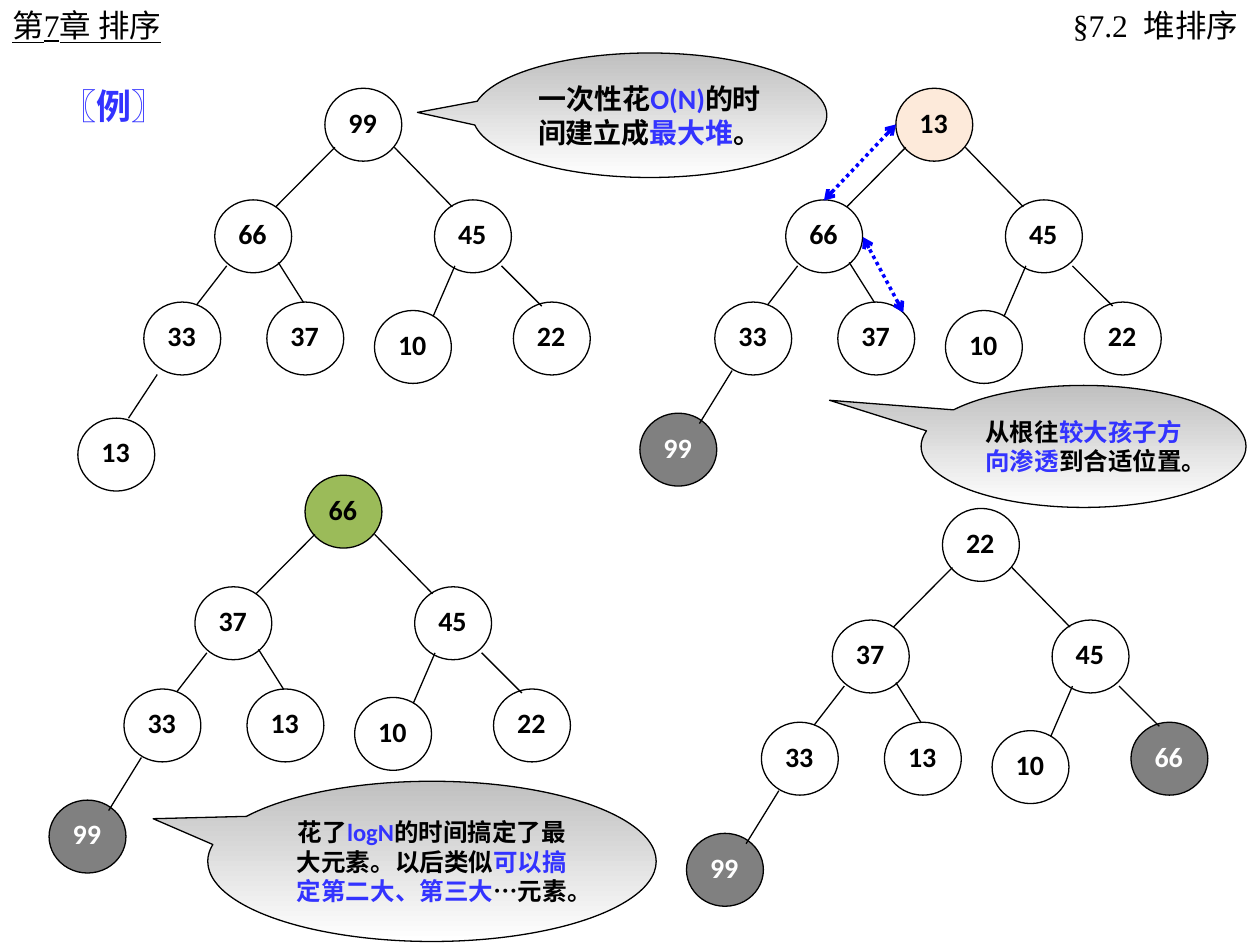
from lxml import etree
from pptx import Presentation
from pptx.dml.color import RGBColor
from pptx.enum.dml import MSO_LINE
from pptx.enum.shapes import MSO_CONNECTOR, MSO_SHAPE
from pptx.enum.text import MSO_ANCHOR, PP_ALIGN
from pptx.oxml.ns import qn
from pptx.util import Cm, Pt

OVAL = MSO_SHAPE.OVAL
CALLOUT = MSO_SHAPE.OVAL_CALLOUT
STRAIGHT = MSO_CONNECTOR.STRAIGHT
DOTTED = MSO_LINE.ROUND_DOT
TOP, MIDDLE = MSO_ANCHOR.TOP, MSO_ANCHOR.MIDDLE
LEFT, CENTER, RIGHT, JUSTIFY = PP_ALIGN.LEFT, PP_ALIGN.CENTER, PP_ALIGN.RIGHT, PP_ALIGN.JUSTIFY

BLACK = RGBColor(0x00, 0x00, 0x00)
WHITE = RGBColor(0xFF, 0xFF, 0xFF)
GRAY = RGBColor(0x80, 0x80, 0x80)
SILVER = RGBColor(0xC0, 0xC0, 0xC0)
PEACH = RGBColor(0xFD, 0xEA, 0xDA)
GREEN = RGBColor(0x9B, 0xBB, 0x59)
BLUE = RGBColor(0x00, 0x00, 0xFF)
INDIGO = RGBColor(0x33, 0x33, 0xFF)

NODE_WIDTH, NODE_HEIGHT = 1.55, 1.47
NODE_OFFSETS = [(0, 0), (-2.22, 2.25), (2.21, 2.25), (-3.65, 4.31),
                (-1.17, 4.31), (1, 4.48), (3.8, 4.31)]
EDGE_OFFSETS = [(0.2, 1.19, -0.99, 2.39), (1.4, 1.19, 2.57, 2.39),
                (-1.98, 3.58, -2.59, 4.37), (-0.94, 3.51, -0.43, 4.32),
                (2.62, 3.58, 2.18, 4.6), (3.56, 3.58, 4.37, 4.39)]
HEAP_LEAF = ((-4.98, 6.65), (-3.38, 5.77, -3.96, 6.65))
SORTED_LEAF = ((-5.16, 6.55), (-3.3, 5.69, -3.96, 6.76))

TREES = [
    (6.55, 1.78, [99, 66, 45, 33, 37, 10, 22, 13], HEAP_LEAF, {}),
    (18.06, 1.78, [13, 66, 45, 33, 37, 10, 22, 99], SORTED_LEAF, {0: PEACH, 7: GRAY}),
    (6.15, 9.58, [66, 37, 45, 33, 13, 10, 22, 99], SORTED_LEAF, {0: GREEN, 7: GRAY}),
    (19, 10.25, [22, 37, 45, 33, 13, 10, 66, 99], SORTED_LEAF, {6: GRAY, 7: GRAY}),
]
PERCOLATIONS = [(16.61, 4.04, 18.06, 2.51), (18.21, 6.3, 17.4, 4.78)]
CALLOUTS = [
    (4.19, 15.75, 9.04, 3.23, (-0.622, -0.266), 14,
     [("花了", BLACK), ("logN", INDIGO), ("的时间搞定了最大元素。以后类似", BLACK),
      ("可以搞定第二大、第三大", INDIGO), ("…元素。", BLACK)]),
    (9.53, 1.07, 7.14, 2.51, (-0.656, -0.023), 16,
     [("一次性花", BLACK), ("O(N)", INDIGO), ("的时间建立成", BLACK),
      ("最大堆", INDIGO), ("。", BLACK)]),
    (18.57, 7.77, 6.55, 2.46, (-0.782, -0.378), 14,
     [("从根往", BLACK), ("较大孩子方向渗透", INDIGO), ("到合适位置。", BLACK)]),
]
LABELS = [
    (0, 0, 5.31, 1.02, "第7章 排序", 18, "Times New Roman", BLACK, LEFT),
    (20.04, 0, 5.33, 1.02, "§7.2  堆排序", 18, "Times New Roman", BLACK, RIGHT),
    (0.99, 1.57, 2.67, 1.12, "〖例〗", 20, "Calibri", INDIGO, LEFT),
]


def draw_line(shapes, ends, color, width):
    connector = shapes.add_connector(STRAIGHT, *[Cm(end) for end in ends])
    connector.line.color.rgb = color
    connector.line.width = Pt(width)
    etree.SubElement(connector.line._get_or_add_ln().getparent(), qn("a:effectLst"))
    return connector


def format_run(run, size, color, name="Calibri", bold=True):
    run.font.size = Pt(size)
    run.font.name = name
    run.font.bold = bold
    run.font.color.rgb = color


presentation = Presentation()
presentation.slide_width = Cm(25.4)
presentation.slide_height = Cm(19.05)
slide = presentation.slides.add_slide(presentation.slide_layouts[6])

for left, top, keys, (leaf_offset, leaf_edge), fills in TREES:
    tree = slide.shapes.add_group_shape()
    for index, (key, (x, y)) in enumerate(zip(keys, NODE_OFFSETS + [leaf_offset])):
        fill = fills.get(index, WHITE)
        node = tree.shapes.add_shape(OVAL, Cm(left + x), Cm(top + y),
                                     Cm(NODE_WIDTH), Cm(NODE_HEIGHT))
        node.shadow.inherit = False
        node.fill.solid()
        node.fill.fore_color.rgb = fill
        node.line.color.rgb = BLACK
        node.line.width = Pt(0.75)
        node.text_frame.text = str(key)
        node.text_frame.vertical_anchor = TOP
        paragraph = node.text_frame.paragraphs[0]
        paragraph.alignment = JUSTIFY
        format_run(paragraph.runs[0], 16, WHITE if fill == GRAY else BLACK)
    for x1, y1, x2, y2 in EDGE_OFFSETS + [leaf_edge]:
        draw_line(tree.shapes, (left + x1, top + y1, left + x2, top + y2), BLACK, 0.75)

for ends in PERCOLATIONS:
    arrow = draw_line(slide.shapes, ends, BLUE, 2)
    arrow.line.dash_style = DOTTED
    for tag in ("a:headEnd", "a:tailEnd"):
        etree.SubElement(arrow.line._get_or_add_ln(), qn(tag), type="arrow")

for left, top, width, height, text, size, font, color, alignment in LABELS:
    label = slide.shapes.add_textbox(Cm(left), Cm(top), Cm(width), Cm(height))
    label.text_frame.word_wrap = True
    label.text_frame.text = text
    paragraph = label.text_frame.paragraphs[0]
    paragraph.alignment = alignment
    run = paragraph.runs[0]
    format_run(run, size, color, font, bold=color == INDIGO)
    if alignment == RIGHT:
        label.text_frame.margin_left = Cm(0.3)
        label.text_frame.margin_right = Cm(0.41)
    elif color == BLACK:
        run.font.underline = True

for left, top, width, height, pointer, size, pieces in CALLOUTS:
    callout = slide.shapes.add_shape(CALLOUT, Cm(left), Cm(top), Cm(width), Cm(height))
    callout.shadow.inherit = False
    callout.adjustments[0], callout.adjustments[1] = pointer
    callout.fill.gradient()
    callout.fill.gradient_angle = 270
    for stop, position, color in zip(callout.fill.gradient_stops, (0, 1), (SILVER, WHITE)):
        stop.position = position
        stop.color.rgb = color
    callout.line.color.rgb = BLACK
    callout.line.width = Pt(0.75)
    callout.text_frame.word_wrap = True
    callout.text_frame.vertical_anchor = MIDDLE
    paragraph = callout.text_frame.paragraphs[0]
    paragraph.alignment = CENTER
    for text, color in pieces:
        run = paragraph.add_run()
        run.text = text
        format_run(run, size, color)

presentation.save("out.pptx")
